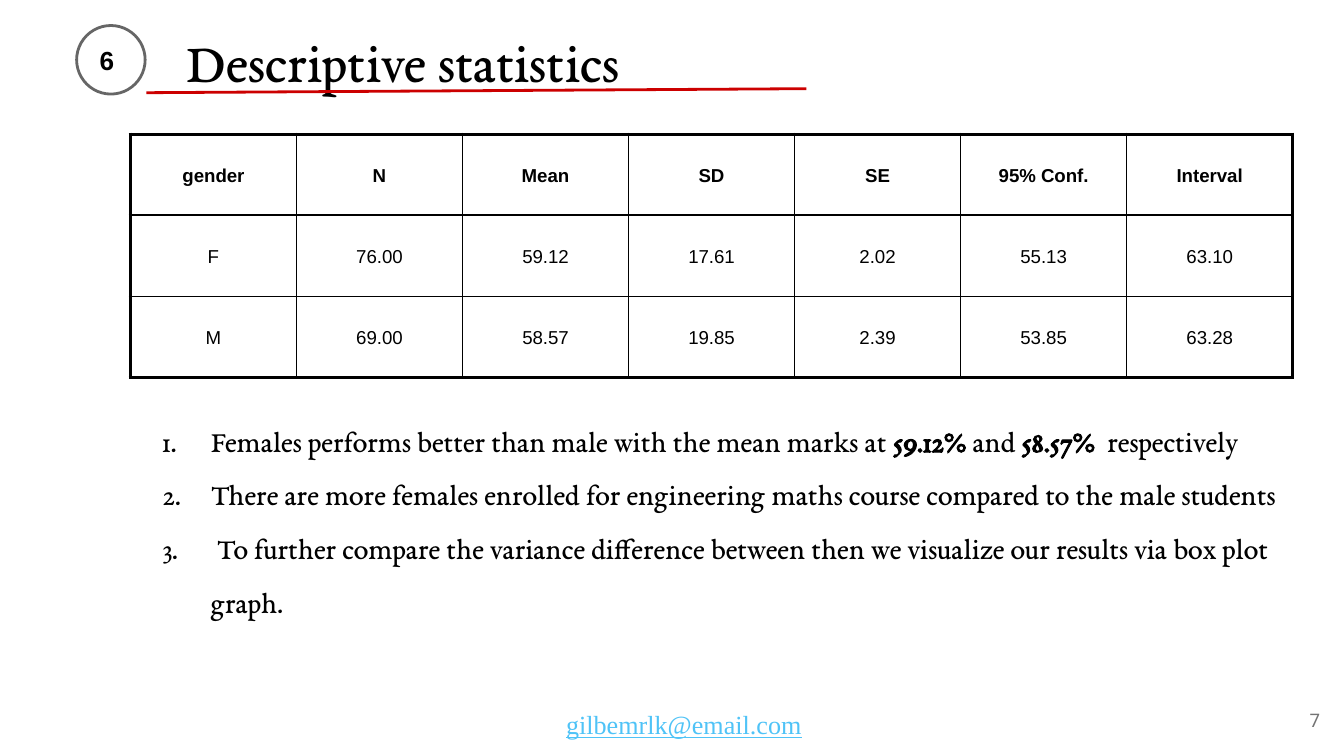
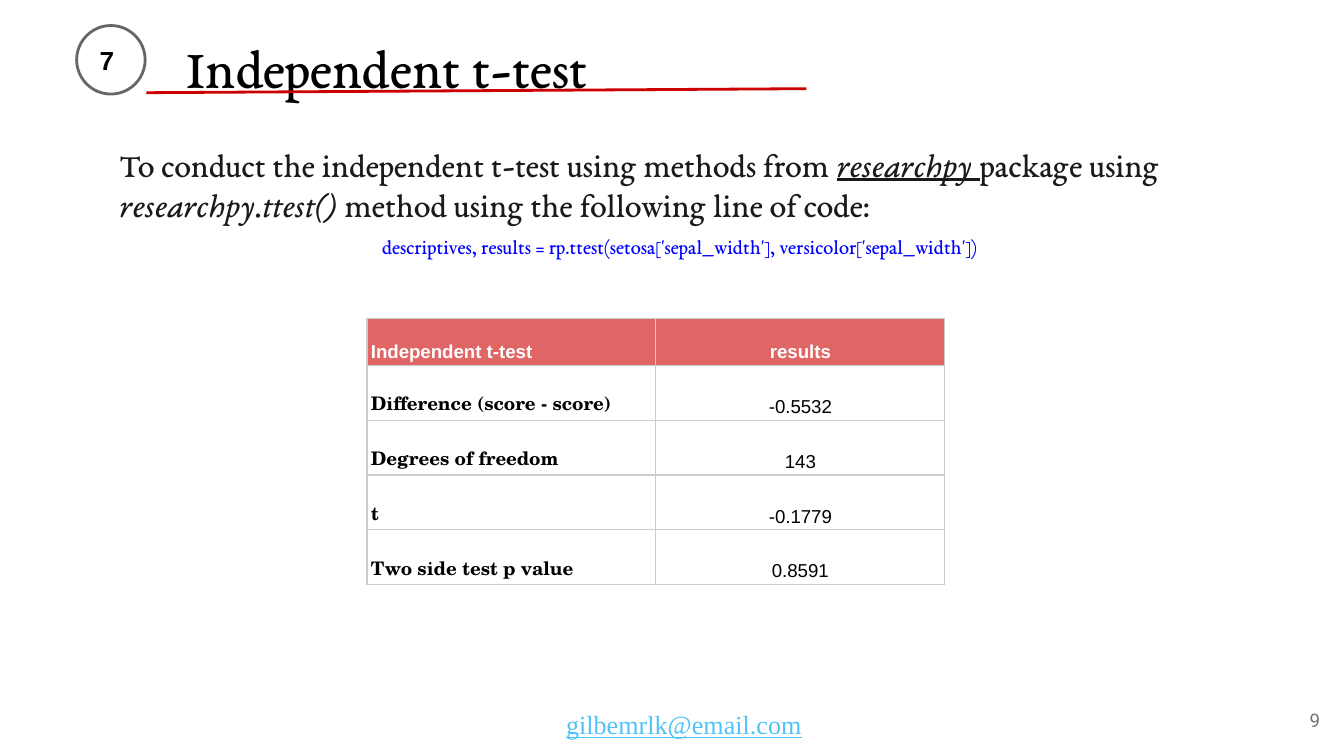
from lxml.etree import SubElement
from pptx import Presentation
from pptx.dml.color import RGBColor
from pptx.enum.shapes import MSO_CONNECTOR, MSO_SHAPE
from pptx.enum.text import MSO_ANCHOR as Anchor, MSO_AUTO_SIZE, PP_ALIGN as Align
from pptx.oxml.ns import qn
from pptx.util import Inches, Pt

# Shared look
BLACK, WHITE, RED = "000000", "FFFFFF", "CC0000"
RING_GREY, NUMBER_GREY, GRID_GREY = "666666", "737373", "CCCCCC"
BODY, MAIL_BLUE, CODE_BLUE, HEADER_RED = "1A1A1A", "4FC3F7", "0000FF", "E06666"
SERIF, SANS, SCHOOL = "EB Garamond", "Arial", "TeX Gyre Schola"
EMAIL = "gilbemrlk@email.com"
TITLE_ONLY = 5

STATISTICS = [
    ["gender", "N", "Mean", "SD", "SE", "95% Conf.", "Interval"],
    ["F", "76.00", "59.12", "17.61", "2.02", "55.13", "63.10"],
    ["M", "69.00", "58.57", "19.85", "2.39", "53.85", "63.28"],
]
FINDINGS = [
    [("Females performs better than male with the mean marks at ", ""),
     ("59.12%", "b"), (" and ", ""), ("58.57%", "b"), ("  respectively", "")],
    [("There are more females enrolled for engineering maths course "
      "compared to the male students", "")],
    [(" To further compare the variance difference between then we "
      "visualize our results via box plot graph.", "")],
]
METHOD = [
    ("To conduct the independent t-test using methods from ", ""),
    ("researchpy ", "iu"), ("package using ", ""),
    ("researchpy.ttest()", "i"),
    (" method using the following line of code:", ""),
]
CODE = ("descriptives, results = rp.ttest(setosa['sepal_width'], "
        "versicolor['sepal_width'])")
T_TEST = [
    ["Independent t-test", "results"],
    ["Difference (score - score)", "-0.5532"],
    ["Degrees of freedom", "143"],
    ["t", "-0.1779"],
    ["Two side test p value", "0.8591"],
]


def color(value):
    return RGBColor.from_string(value)


def style(paragraph, font, size, ink, bold=False, align=Align.LEFT):
    paragraph.alignment = align
    face = paragraph.font
    face.name, face.size, face.bold = font, Pt(size), bold
    face.color.rgb = color(ink)


def add_runs(paragraph, runs):
    """Each run is its text and its marks: b(old), i(talic), u(nderline)."""
    for text, marks in runs:
        run = paragraph.add_run()
        run.text = text
        if "b" in marks:
            run.font.bold = True
        if "i" in marks:
            run.font.italic = True
        if "u" in marks:
            run.font.underline = True


def set_frame(frame, anchor=Anchor.TOP, inset=0.1):
    frame.word_wrap = True
    frame.auto_size = MSO_AUTO_SIZE.NONE
    frame.vertical_anchor = anchor
    frame.margin_left = frame.margin_right = Inches(0.1)
    frame.margin_top = frame.margin_bottom = Inches(inset)


def add_text(slide, at, runs, font, size, ink, bold=False,
             align=Align.LEFT, anchor=Anchor.TOP, inset=0.1):
    frame = slide.shapes.add_textbox(*map(Inches, at)).text_frame
    set_frame(frame, anchor, inset)
    paragraph = frame.paragraphs[0]
    style(paragraph, font, size, ink, bold, align)
    add_runs(paragraph, runs)


def add_numbered_list(slide, at, items):
    frame = slide.shapes.add_textbox(*map(Inches, at)).text_frame
    set_frame(frame)
    for i, runs in enumerate(items):
        paragraph = frame.add_paragraph() if i else frame.paragraphs[0]
        props = paragraph._p.get_or_add_pPr()
        props.set("marL", str(Inches(0.5)))
        props.set("indent", str(Inches(-0.36)))
        ink = SubElement(props, qn("a:buClr"))
        SubElement(ink, qn("a:srgbClr"), val=BLACK)
        SubElement(props, qn("a:buFont"), typeface=SERIF)
        SubElement(props, qn("a:buAutoNum"), type="arabicPeriod")
        paragraph.line_spacing = 1.5
        style(paragraph, SERIF, 16, BLACK)
        add_runs(paragraph, runs)


# Tables
def set_borders(cell, ink, widths):
    """Widths in points: left, right, top, bottom."""
    props = cell._tc.get_or_add_tcPr()
    for i, (side, width) in enumerate(zip("LRTB", widths)):
        line = props.makeelement(qn(f"a:ln{side}"), {"w": str(Pt(width))})
        fill = SubElement(line, qn("a:solidFill"))
        SubElement(fill, qn("a:srgbClr"), val=ink)
        props.insert(i, line)


def add_grid(slide, at, rows, header_height, cell_style, anchor, ink, outer,
             inner=0.75):
    """cell_style(row, column) gives font, ink, bold, align and fill."""
    table = slide.shapes.add_table(len(rows), len(rows[0]), *map(Inches, at)).table
    table.first_row = table.horz_banding = False
    last_row, last_column = len(rows) - 1, len(rows[0]) - 1
    body_height = (at[3] - header_height) / last_row
    for r, texts in enumerate(rows):
        table.rows[r].height = Inches(body_height if r else header_height)
        for c, text in enumerate(texts):
            cell = table.cell(r, c)
            font, text_ink, bold, align, fill = cell_style(r, c)
            cell.text = text
            cell.vertical_anchor = anchor
            cell.margin_left = cell.margin_right = Inches(0.03)
            cell.margin_top = cell.margin_bottom = Inches(0.02)
            paragraph = cell.text_frame.paragraphs[0]
            paragraph.line_spacing = 1.15
            style(paragraph, font, 10, text_ink, bold, align)
            if fill:
                cell.fill.solid()
                cell.fill.fore_color.rgb = color(fill)
            else:
                cell.fill.background()
            edges = (c == 0, c == last_column, r == 0, r == last_row)
            set_borders(cell, ink, [outer if edge else inner for edge in edges])


def statistics_style(row, column):
    return SANS, BLACK, row == 0, Align.CENTER, None


def t_test_style(row, column):
    align = Align.CENTER if column else Align.LEFT
    if row == 0:
        return SANS, WHITE, True, align, HEADER_RED
    return (SANS if column else SCHOOL), BLACK, column == 0, align, None


# Title, numbered ring, red rule and footer of every slide
def add_section(deck, section, heading, top, page):
    slide = deck.slides.add_slide(deck.slide_layouts[TITLE_ONLY])
    title = slide.shapes.title
    title.left, title.top, title.width, title.height = map(
        Inches, (1.29, top, 4.51, 0.48))
    title.text_frame.text = heading
    set_frame(title.text_frame)
    style(title.text_frame.paragraphs[0], SERIF, 30, BLACK)

    ring = slide.shapes.add_shape(
        MSO_SHAPE.OVAL, *map(Inches, (0.57, 0.19, 0.51, 0.51)))
    ring.shadow.inherit = False
    ring.fill.background()
    ring.line.color.rgb = color(RING_GREY)
    ring.line.width = Pt(1.5)
    add_text(slide, (0.62, 0.25, 0.35, 0.4), [(section, "")], SANS, 14, BLACK,
             bold=True, align=Align.CENTER, anchor=Anchor.MIDDLE)

    rule = slide.shapes.add_connector(
        MSO_CONNECTOR.STRAIGHT, *map(Inches, (1.09, 0.69, 6, 0.66)))
    rule.line.color.rgb = color(RED)
    rule.line.width = Pt(1.5)
    SubElement(rule._element.spPr, qn("a:effectLst"))

    add_text(slide, (9.32, 5.14, 0.6, 0.43), [(page, "")], "Roboto", 10,
             NUMBER_GREY, align=Align.RIGHT, anchor=Anchor.MIDDLE)
    add_text(slide, (3.16, 5.22, 3.86, 0.35), [(EMAIL, "u")],
             "Times New Roman", 14, MAIL_BLUE, align=Align.CENTER, inset=0.05)
    return slide


def main():
    deck = Presentation()
    deck.slide_width = Inches(10)
    deck.slide_height = deck.slide_width * 9 // 16

    # Descriptive statistics
    slide = add_section(deck, "6", "Descriptive statistics", 0.1, "7")
    add_grid(slide, (0.97, 1, 8.65, 1.81), STATISTICS, 0.6,
             statistics_style, Anchor.MIDDLE, BLACK, outer=2.25)
    add_numbered_list(slide, (0.97, 2.91, 8.65, 2.25), FINDINGS)

    # Independent t-test
    slide = add_section(deck, "7", "Independent t-test", 0.14, "9")
    add_text(slide, (0.79, 0.97, 8.41, 0.74), METHOD, SERIF, 18, BODY)
    add_text(slide, (0.82, 1.64, 8.48, 0.48), [(CODE, "")], SERIF, 11,
             CODE_BLUE, align=Align.CENTER)
    add_grid(slide, (2.73, 2.37, 4.3, 1.98), T_TEST, 0.35,
             t_test_style, Anchor.BOTTOM, GRID_GREY, outer=0.75)

    deck.save("out.pptx")


if __name__ == "__main__":
    main()
